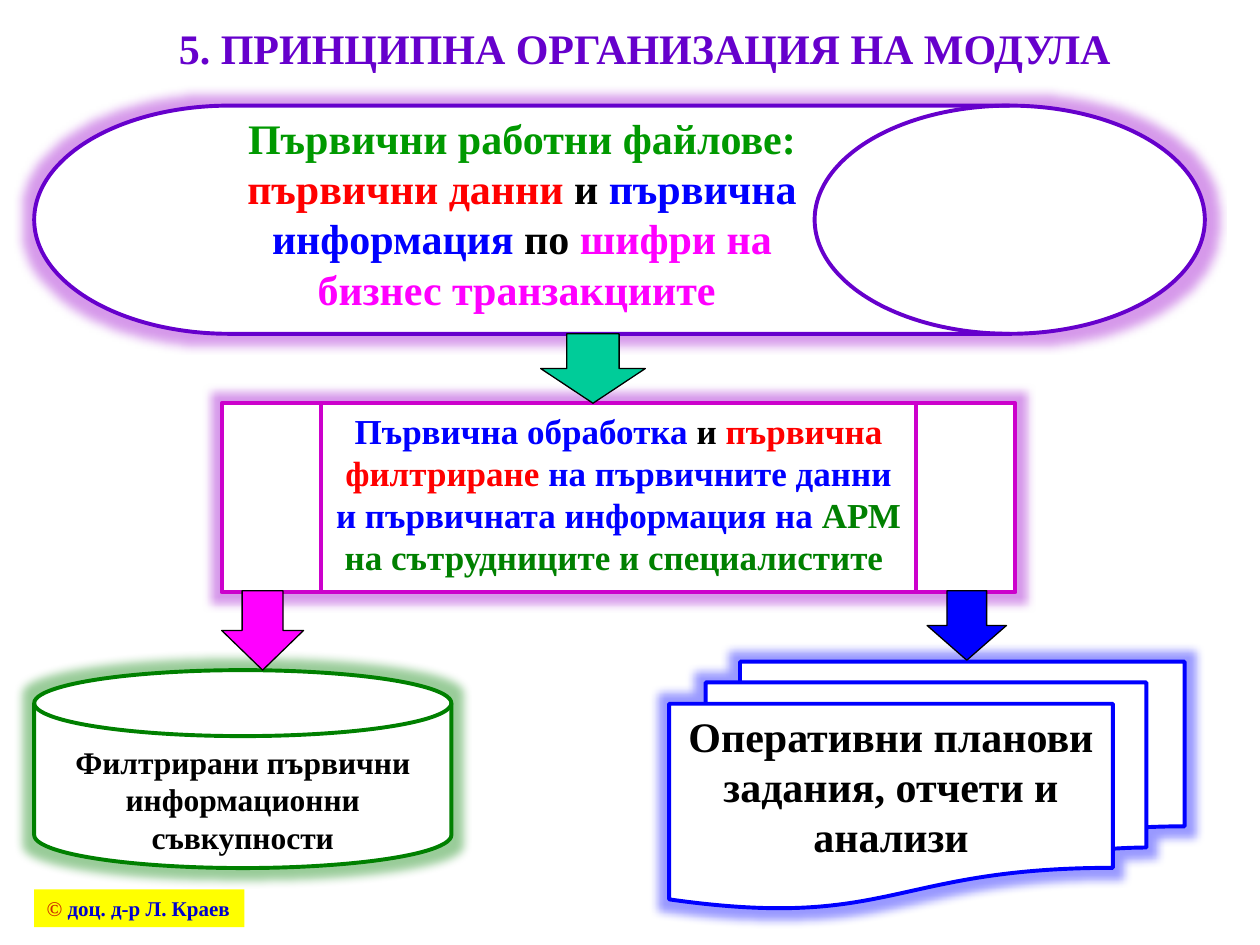
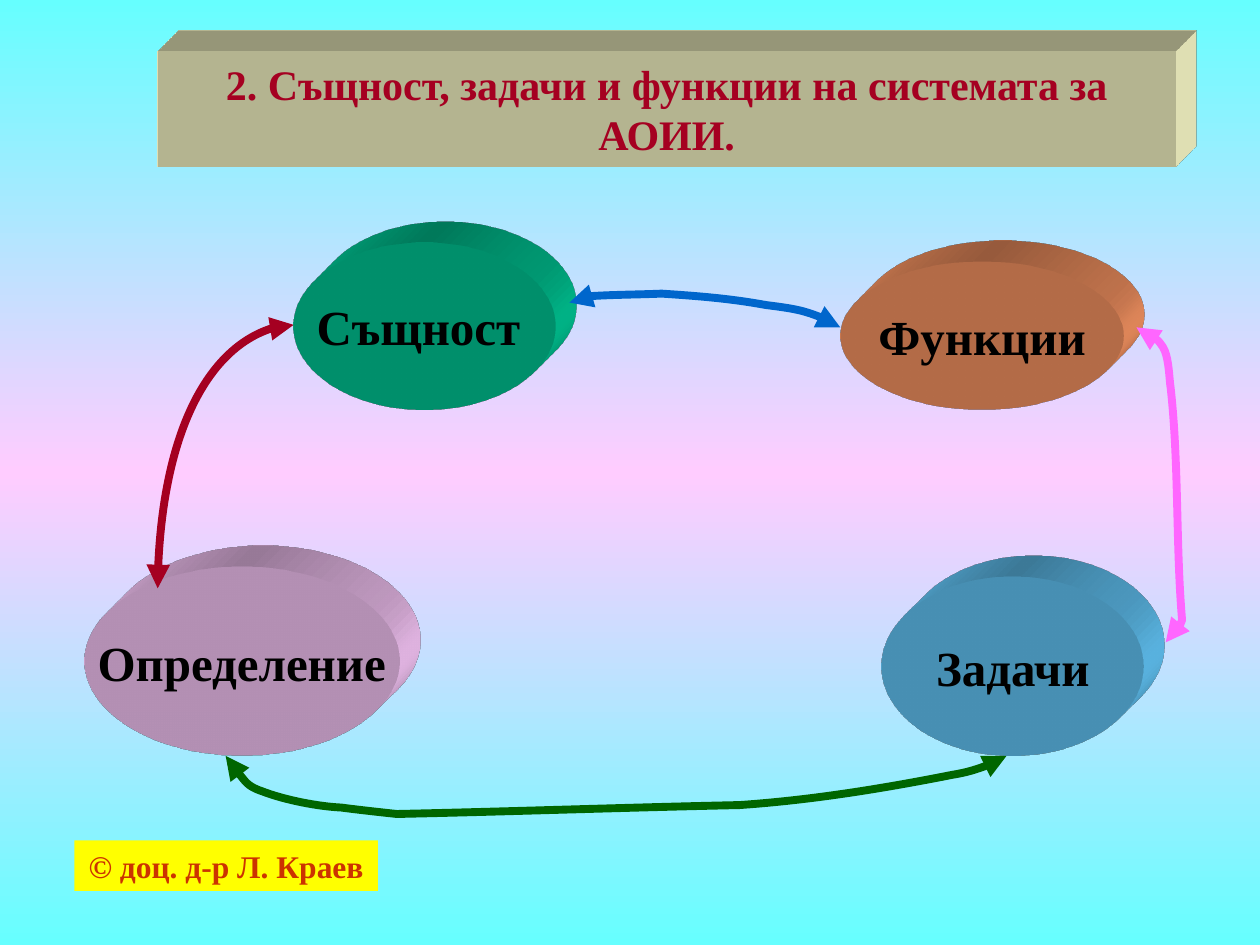
from copy import deepcopy

from lxml import etree
from pptx import Presentation
from pptx.dml.color import RGBColor
from pptx.enum.shapes import MSO_SHAPE
from pptx.enum.text import MSO_ANCHOR, MSO_AUTO_SIZE, PP_ALIGN
from pptx.oxml import parse_xml
from pptx.oxml.ns import nsdecls, qn
from pptx.util import Cm, Pt

FONT = "Times New Roman"
LEFT, CENTER = PP_ALIGN.LEFT, PP_ALIGN.CENTER
TOP, MIDDLE = MSO_ANCHOR.TOP, MSO_ANCHOR.MIDDLE
RECTANGLE, OVAL, DOWN_ARROW = MSO_SHAPE.RECTANGLE, MSO_SHAPE.OVAL, MSO_SHAPE.DOWN_ARROW
DRUM = MSO_SHAPE.FLOWCHART_DIRECT_ACCESS_STORAGE
PROCESS = MSO_SHAPE.FLOWCHART_PREDEFINED_PROCESS
DISK = MSO_SHAPE.FLOWCHART_MAGNETIC_DISK
DOCUMENTS = MSO_SHAPE.FLOWCHART_MULTIDOCUMENT

BLACK = RGBColor(0x00, 0x00, 0x00)
WHITE = RGBColor(0xFF, 0xFF, 0xFF)
YELLOW = RGBColor(0xFF, 0xFF, 0x00)
VIOLET = RGBColor(0x66, 0x00, 0xCC)
PURPLE = RGBColor(0xCC, 0x00, 0xCC)
GLOW_PURPLE = RGBColor(0x99, 0x00, 0xCC)
MAGENTA = RGBColor(0xFF, 0x00, 0xFF)
RED = RGBColor(0xFF, 0x00, 0x00)
BLUE = RGBColor(0x00, 0x00, 0xFF)
NAVY = RGBColor(0x00, 0x00, 0xCC)
GREEN = RGBColor(0x00, 0x80, 0x00)
LIGHT_GREEN = RGBColor(0x00, 0x99, 0x00)
DARK_GREEN = RGBColor(0x00, 0x66, 0x00)
TEAL = RGBColor(0x00, 0xCC, 0x99)
RUST = RGBColor(0xCC, 0x33, 0x00)
CRIMSON = RGBColor(0xA5, 0x00, 0x21)
CREAM = RGBColor(0xFF, 0xFF, 0xCC)
PINK = RGBColor(0xFF, 0xCC, 0xFF)
HOT_PINK = RGBColor(0xFF, 0x66, 0xFF)
SKY = RGBColor(0x66, 0xCC, 0xFF)
AQUA = RGBColor(0x66, 0xFF, 0xFF)
ORANGE = RGBColor(0xFF, 0x99, 0x66)
AZURE = RGBColor(0x00, 0x66, 0xCC)


def add_box(page, kind, place, fill, line=None, width=0.75):
    box = page.shapes.add_shape(kind, *map(Cm, place))
    box.shadow.inherit = False
    box.fill.solid()
    box.fill.fore_color.rgb = fill
    if line is None:
        box.line.fill.background()
    else:
        box.line.color.rgb = line
        box.line.width = Pt(width)
    return box


def write(box, size, spans, align=CENTER, anchor=TOP, wrap=True):
    frame = box.text_frame
    frame.word_wrap = wrap
    frame.auto_size = MSO_AUTO_SIZE.NONE
    frame.vertical_anchor = anchor
    frame.margin_left = frame.margin_right = Cm(0.25)
    frame.margin_top = frame.margin_bottom = Cm(0.13)
    para = frame.paragraphs[0]
    para.alignment = align
    para.font.name = FONT
    para.font.size = Pt(size)
    para.font.bold = True
    for words, color in spans:
        span = para.add_run()
        span.text = words
        span.font.color.rgb = color


deck = Presentation()
deck.slide_width, deck.slide_height = Cm(25.4), Cm(19.05)

pages = []
for place, anchor, words, color in [
    ((1.9, 0.33, 22.2, 1.28), TOP, "5. ПРИНЦИПНА ОРГАНИЗАЦИЯ НА МОДУЛА", VIOLET),
    ((3.18, 1.04, 20.52, 2.31), MIDDLE,
     "2. Същност, задачи и функции на системата за АОИИ.", CRIMSON),
]:
    page = deck.slides.add_slide(deck.slide_layouts[5])
    title = page.shapes.title
    title.left, title.top, title.width, title.height = map(Cm, place)
    write(title, 24, [(words, color)], anchor=anchor)
    pages.append(page)
module_page, system_page = pages

for page, place, size, align, name_color in [
    (module_page, (0.69, 17.93, 4.24, 0.76), 12, LEFT, NAVY),
    (system_page, (1.5, 16.94, 6.12, 1.02), 18, CENTER, RUST),
]:
    footer = add_box(page, RECTANGLE, place, YELLOW)
    write(footer, size, [("© ", RUST), ("доц. д-р Л. Краев", name_color)], align, wrap=False)

flow_steps = [
    (DRUM, (0.69, 2.13, 23.6, 4.6), VIOLET, GLOW_PURPLE, 24, [
        ("Първични работни файлове: ", LIGHT_GREEN),
        ("първични данни ", RED),
        ("и ", BLACK),
        ("първична информация", BLUE),
        (" по ", BLACK),
        ("шифри на бизнес транзакциите ", MAGENTA),
    ]),
    (PROCESS, (4.47, 8.13, 16, 3.81), PURPLE, GLOW_PURPLE, 20, [
        ("Първична обработка ", BLUE),
        ("и ", BLACK),
        ("първична филтриране ", RED),
        ("на първичните данни и първичната информация на ", BLUE),
        ("АРМ на сътрудниците и специалистите ", GREEN),
    ]),
    (DISK, (0.69, 13.51, 8.41, 3.99), GREEN, GREEN, 18,
     [("Филтрирани първични информационни съвкупности", BLACK)]),
    (DOCUMENTS, (13.49, 13.34, 10.39, 4.98), BLUE, BLUE, 24,
     [("Оперативни планови задания, отчети и анализи", BLACK)]),
]
for kind, place, line, glow, size, spans in flow_steps:
    step = add_box(module_page, kind, place, WHITE, line, 2.25)
    write(step, size, spans)
    step._element.spPr.find(qn("a:effectLst")).append(parse_xml(
        f'<a:glow {nsdecls("a")} rad="139700"><a:srgbClr val="{glow}">'
        '<a:alpha val="40000"/></a:srgbClr></a:glow>'))

for place, fill in [
    ((10.9, 6.73, 2.11, 1.4), TEAL),
    ((4.47, 11.91, 1.65, 1.6), MAGENTA),
    ((18.69, 11.91, 1.6, 1.4), BLUE),
]:
    add_box(module_page, DOWN_ARROW, place, fill, BLACK)

backdrop = system_page.background.fill
backdrop.gradient()
stop_list = next(system_page._element.iter(qn("a:gsLst")))
stop_list.append(deepcopy(stop_list[0]))
for stop, position, color in zip(backdrop.gradient_stops, (0, 0.5, 1), (AQUA, PINK, AQUA)):
    stop.position = position
    stop.color.rgb = color
backdrop.gradient_angle = 90

solids = [
    (RECTANGLE, (3.18, 1.04, 20.52, 2.31), CREAM, ""),
    (OVAL, (5.92, 4.88, 5.28, 3.38), TEAL, "Същност "),
    (OVAL, (1.7, 11.43, 6.35, 3.81), PINK, "Определение"),
    (OVAL, (17.78, 11.63, 5.28, 3.61), SKY, "Задачи"),
    (OVAL, (16.94, 5.28, 5.72, 2.97), ORANGE, "Функции"),
]
for kind, place, fill, words in solids:
    solid = add_box(system_page, kind, place, fill)
    if words:
        write(solid, 28, [(words, BLACK)], anchor=MIDDLE, wrap=False)
    else:
        system_page.shapes.title._element.addprevious(solid._element)
    properties = solid._element.spPr
    properties.append(parse_xml(
        f'<a:scene3d {nsdecls("a")}><a:camera prst="legacyObliqueTopRight"/>'
        '<a:lightRig rig="legacyFlat3" dir="b"/></a:scene3d>'))
    properties.append(parse_xml(
        f'<a:sp3d {nsdecls("a")} extrusionH="430200" prstMaterial="legacyMatte">'
        '<a:bevelT w="13500" h="13500" prst="angle"/>'
        '<a:bevelB w="13500" h="13500" prst="angle"/>'
        f'<a:extrusionClr><a:srgbClr val="{fill}"/></a:extrusionClr></a:sp3d>'))

curves = [
    (CRIMSON, [(5.92, 6.55), (4.42, 6.55), (3.18, 8.94), (3.18, 11.86)]),
    (DARK_GREEN, [
        (4.55, 15.24), (4.7, 15.47), (4.98, 15.85), (5.28, 15.95),
        (5.74, 16.13), (6.43, 16.26), (6.88, 16.28),
        (7.24, 16.33), (8, 16.41), (8, 16.41),
        (10.31, 16.36), (12.6, 16.28), (14.91, 16.23),
        (16.36, 16.13), (17.78, 15.9), (19.2, 15.62),
        (19.51, 15.57), (19.81, 15.47), (20.14, 15.34),
        (20.32, 15.29), (20.29, 15.37), (20.29, 15.24)]),
    (HOT_PINK, [
        (23.5, 12.95), (23.65, 12.8), (23.75, 12.7), (23.83, 12.5),
        (23.7, 10.95), (23.77, 9.37), (23.6, 7.82),
        (23.57, 7.65), (23.57, 7.19), (23.44, 6.99),
        (23.29, 6.78), (23.09, 6.78), (22.91, 6.6)]),
    (AZURE, [
        (16.94, 6.6), (16.46, 6.3), (16, 6.22), (15.44, 6.15),
        (14.73, 6.02), (14.1, 5.97), (13.34, 5.92),
        (12.85, 5.94), (12.4, 5.94), (11.91, 5.97),
        (11.81, 5.99), (11.73, 6.02), (11.63, 6.05),
        (11.58, 6.05), (11.48, 6.1), (11.48, 6.1)]),
]
for color, points in curves:
    start, *others = [(Cm(x), Cm(y)) for x, y in points]
    builder = system_page.shapes.build_freeform(*start)
    builder.add_line_segments(others, close=False)
    curve = builder.convert_to_shape()
    curve.shadow.inherit = False
    curve.fill.background()
    curve.line.color.rgb = color
    curve.line.width = Pt(4.5)
    segments = list(curve._element.iter(qn("a:lnTo")))
    for first in range(0, len(segments), 3):
        bezier = etree.Element(qn("a:cubicBezTo"))
        segments[first].addprevious(bezier)
        for segment in segments[first:first + 3]:
            bezier.append(segment[0])
            segment.getparent().remove(segment)
    outline = curve._element.spPr.find(qn("a:ln"))
    for end in ("a:headEnd", "a:tailEnd"):
        etree.SubElement(outline, qn(end), type="triangle")

deck.save("out.pptx")
